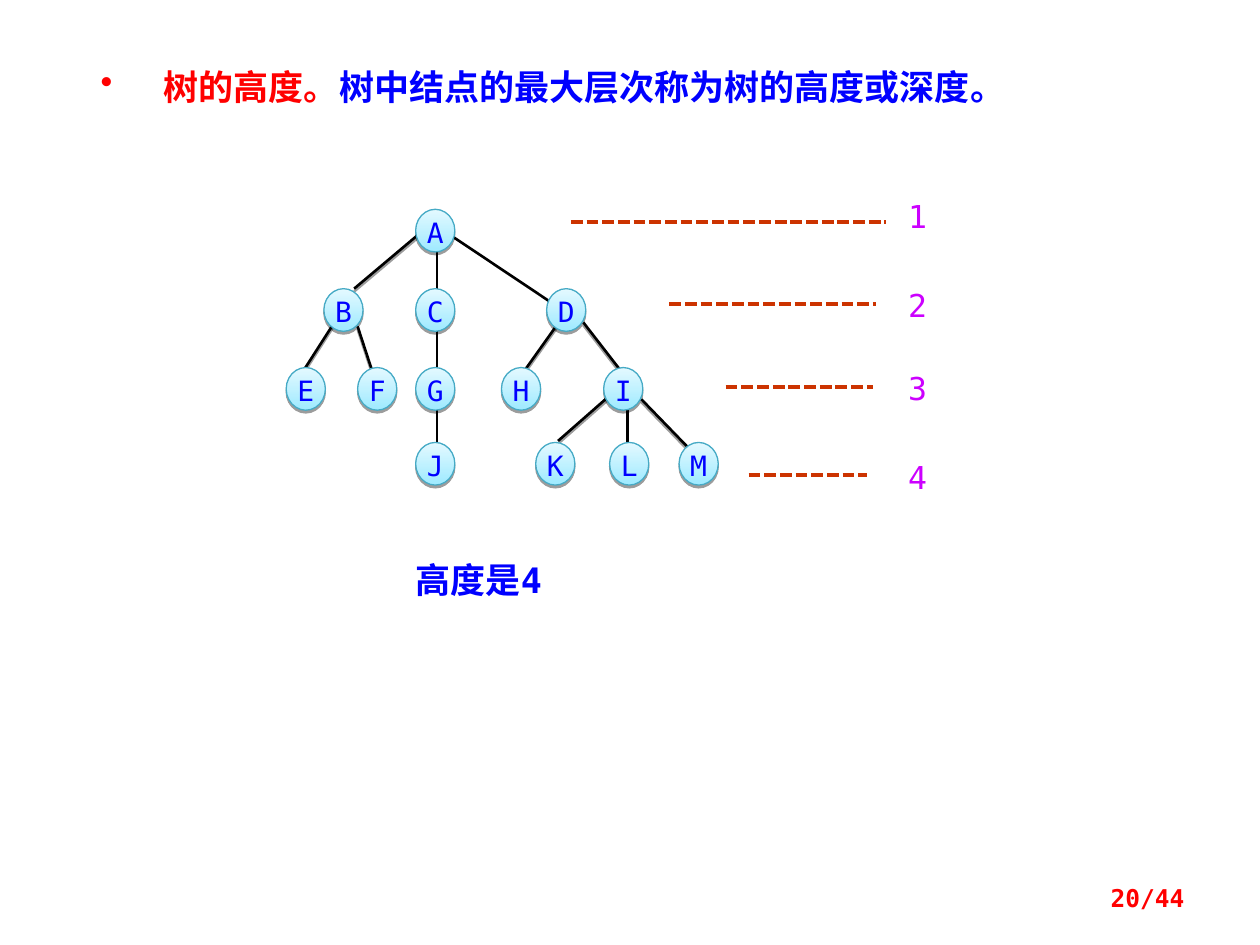
from lxml.etree import SubElement
from pptx import Presentation
from pptx.dml.color import RGBColor
from pptx.enum.dml import MSO_LINE
from pptx.enum.shapes import MSO_CONNECTOR, MSO_SHAPE
from pptx.enum.text import MSO_ANCHOR, MSO_AUTO_SIZE, PP_ALIGN
from pptx.oxml.ns import qn
from pptx.util import Cm, Pt

COLORS = {
    "red": "FF0000", "blue": "0000FF", "purple": "CC00FF", "dash": "CC3300",
    "edge": "000000", "rim": "46AAC5", "node_low": "9EEAFF", "node_high": "E4F9FF",
}
RGB = {name: RGBColor.from_string(value) for name, value in COLORS.items()}
MONO, CJK = "DejaVu Sans Mono", "Noto Sans CJK SC"


def write(tf, text, size=20, color="blue", font=MONO, bold=False,
          align=PP_ALIGN.LEFT, spacing=None, anchor=MSO_ANCHOR.TOP, fit=False):
    tf.word_wrap = True
    tf.vertical_anchor = anchor
    tf.auto_size = MSO_AUTO_SIZE.SHAPE_TO_FIT_TEXT if fit else MSO_AUTO_SIZE.NONE
    p = tf.paragraphs[0]
    p.alignment = align
    p.line_spacing = spacing
    r = p.add_run()
    r.text = text
    r.font.size = Pt(size)
    r.font.bold = bold
    r.font.name = font
    r.font.color.rgb = RGB[color]
    SubElement(r.font._element, qn("a:ea"), typeface=CJK)


def cast_shadow(s):
    s.shadow.inherit = False
    effects = s._element.spPr.find(qn("a:effectLst"))
    shadow = SubElement(effects, qn("a:outerShdw"), dist="20000", dir="5400000", rotWithShape="0")
    color = SubElement(shadow, qn("a:srgbClr"), val=COLORS["edge"])
    SubElement(color, qn("a:alpha"), val="38000")


prs = Presentation()
prs.slide_width, prs.slide_height = Cm(25.4), Cm(19.05)
slide = prs.slides.add_slide(prs.slide_layouts[6])
shapes = slide.shapes

tf = shapes.add_textbox(Cm(1.78), Cm(1.19), Cm(21.64), Cm(1.12)).text_frame
pPr = tf.paragraphs[0]._p.get_or_add_pPr()
pPr.set("marL", str(Cm(1.27)))
pPr.set("indent", str(-Cm(1.27)))
SubElement(SubElement(pPr, qn("a:buClr")), qn("a:srgbClr"), val=COLORS["red"])
SubElement(pPr, qn("a:buChar"), char="•")
write(tf, "树的高度", color="red", font=CJK, bold=True, fit=True)
write(tf, "。", color="red", bold=True, fit=True)
write(tf, "树中结点的最大层次称为树的高度或深度。", font=CJK, bold=True, fit=True)

tf = shapes.add_textbox(Cm(8.13), Cm(11.13), Cm(4.57), Cm(1.12)).text_frame
write(tf, "高度是4", bold=True, fit=True)

for level, top in enumerate([3.99, 5.79, 7.47, 9.25], start=1):
    tf = shapes.add_textbox(Cm(18.06), Cm(top), Cm(0.99), Cm(0.86)).text_frame
    write(tf, str(level), size=18, color="purple", spacing=0.8, fit=True)

level_lines = [(11.51, 4.47, 17.86, 4.47), (13.49, 6.12, 17.65, 6.12),
               (14.63, 7.8, 17.6, 7.8), (15.09, 9.58, 17.48, 9.58)]
plain_edges = [(12.65, 8.26, 12.65, 9.04), (8.81, 5.03, 8.81, 9.04), (9.14, 4.78, 11.07, 6.07)]
for line in level_lines + plain_edges:
    s = shapes.add_connector(MSO_CONNECTOR.STRAIGHT, *map(Cm, line))
    dashed = line in level_lines
    s.line.color.rgb = RGB["dash" if dashed else "edge"]
    s.line.width = Pt(2.25 if dashed else 1.5)
    if dashed:
        s.line.dash_style = MSO_LINE.SQUARE_DOT
    SubElement(s._element.spPr, qn("a:effectLst"))

shadow_edges = [
    (11.28, 6.48, 10.54, 7.52), (11.76, 6.5, 12.55, 7.52), (12.93, 8.05, 13.87, 9.02),
    (12.32, 7.95, 11.25, 8.89), (7.21, 6.58, 7.54, 7.59), (6.71, 6.55, 6.12, 7.47),
    (8.41, 4.75, 7.14, 5.82),
]
for x1, y1, x2, y2 in shadow_edges:
    fb = shapes.build_freeform(Cm(x1), Cm(y1))
    fb.add_line_segments([(Cm(x2), Cm(y2))], close=False)
    s = fb.convert_to_shape()
    s.fill.background()
    s.line.color.rgb = RGB["edge"]
    s.line.width = Pt(1.5)
    cast_shadow(s)

node_rows = [
    (4.22, {"A": 8.38}),
    (5.82, {"B": 6.53, "C": 8.38, "D": 11.02}),
    (7.41, {"E": 5.77, "F": 7.21, "G": 8.38, "H": 10.11, "I": 12.17}),
    (8.92, {"J": 8.38, "K": 10.8, "L": 12.29, "M": 13.69}),
]
for top, nodes in node_rows:
    for name, left in nodes.items():
        s = shapes.add_shape(MSO_SHAPE.OVAL, Cm(left), Cm(top), Cm(0.79), Cm(0.86))
        s.fill.gradient()
        s.fill.gradient_angle = 90
        for stop, color in zip(s.fill.gradient_stops, ["node_low", "node_high"]):
            stop.color.rgb = RGB[color]
        s.line.color.rgb = RGB["rim"]
        s.line.width = Pt(0.75)
        cast_shadow(s)
        tf = s.text_frame
        tf.margin_left = tf.margin_right = tf.margin_top = tf.margin_bottom = 0
        write(tf, name, size=16, align=PP_ALIGN.CENTER, spacing=Pt(19))

tf = shapes.add_textbox(Cm(18.21), Cm(17.65), Cm(5.92), Cm(1.02)).text_frame
write(tf, "20/44", size=14, color="red", bold=True, align=PP_ALIGN.RIGHT,
      spacing=0.8, anchor=MSO_ANCHOR.MIDDLE)

prs.save("out.pptx")
